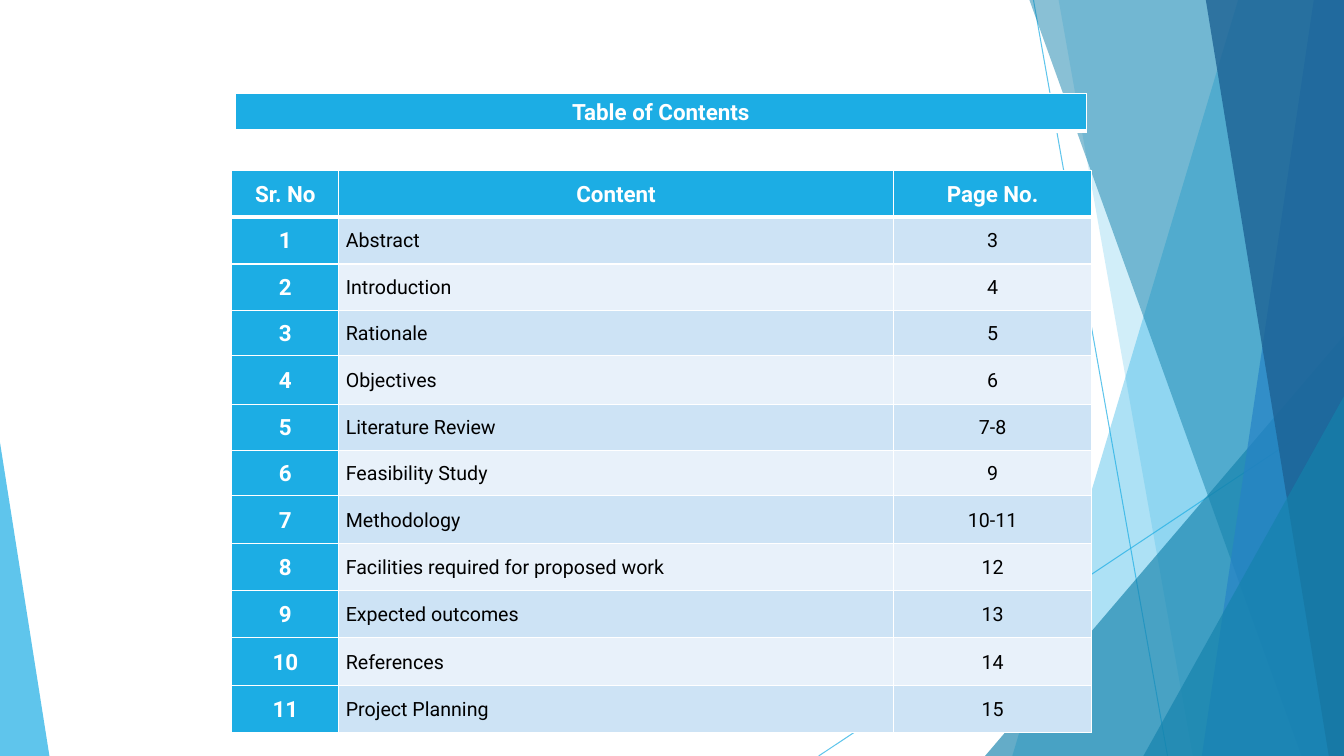
from lxml import etree
from pptx import Presentation
from pptx.dml.color import RGBColor
from pptx.enum import shapes, text
from pptx.oxml.ns import qn
from pptx.util import Inches, Pt

SKY = RGBColor(0x1C, 0xAD, 0xE4)
TEAL = RGBColor(0x14, 0x82, 0xAC)
BLUE = RGBColor(0x26, 0x83, 0xC6)
NAVY = RGBColor(0x1D, 0x62, 0x94)
BAND = RGBColor(0xCD, 0xE3, 0xF5)
PALE = RGBColor(0xE8, 0xF1, 0xFA)
WHITE = RGBColor(0xFF, 0xFF, 0xFF)
BLACK = RGBColor(0, 0, 0)
WIDE, HIGH = 13.33, 7.5


def tint(fill, color, alpha):
    """Fill with a colour at the given opacity in percent."""
    fill.solid()
    fill.fore_color.rgb = color
    tone = fill._xPr.find(qn("a:solidFill"))[0]
    etree.SubElement(tone, qn("a:alpha"), val=str(alpha * 1000))


def style(cell, words, head, color, center):
    """Write one cell; head cells have white bold text."""
    cell.text = words
    cell.vertical_anchor = text.MSO_ANCHOR.MIDDLE
    cell.margin_left = cell.margin_right = Inches(0.07)
    cell.margin_top = cell.margin_bottom = 0
    cell.fill.solid()
    cell.fill.fore_color.rgb = color
    para = cell.text_frame.paragraphs[0]
    para.alignment = text.PP_ALIGN.CENTER if center else text.PP_ALIGN.LEFT
    para.line_spacing = 1.07
    para.space_after = Pt(8)
    para.font.name = "Roboto"
    para.font.size = Pt(16 if head else 14)
    para.font.bold = head
    para.font.color.rgb = WHITE if head else BLACK


prs = Presentation()
prs.slide_width, prs.slide_height = Inches(WIDE), Inches(HIGH)
slide = prs.slides.add_slide(prs.slide_layouts[6])
tree = slide.shapes

# Background lines
for x1, y1, x2, y2 in [(10.25, 0, 11.58, HIGH), (WIDE, 4.03, 8.12, HIGH)]:
    line = tree.add_connector(shapes.MSO_CONNECTOR.STRAIGHT,
                              Inches(x1), Inches(y1), Inches(x2), Inches(y2))
    line.line.width = Pt(0.75)
    tint(line.line.fill, SKY, 70)
    etree.SubElement(line._element.spPr, qn("a:effectLst"))

# Facets: slanted panels give top x and bottom x, triangles give left, top,
# width and the side of the peak
facets = [
    ("panel", (12.28, 10.04), SKY, 36),
    ("panel", (10.5, 11.83), SKY, 20),
    ("peak", (9.77, 3.33, 3.56, 1), TEAL, 66),
    ("panel", (10.21, 12.91), TEAL, 50),
    ("panel", (13.03, 11.92), BLUE, 70),
    ("panel", (11.96, 13.18), NAVY, 80),
    ("peak", (11.34, 3.93, 1.99, 1), TEAL, 66),
    ("peak", (0, 4.39, 0.49, 0), SKY, 70),
]
for kind, spot, color, alpha in facets:
    if kind == "panel":
        top, base = spot
        pen = tree.build_freeform(Inches(top), 0)
        pen.add_line_segments([(Inches(x), Inches(y)) for x, y in
                               [(WIDE, 0), (WIDE, HIGH), (base, HIGH)]])
        facet = pen.convert_to_shape()
    else:
        left, top, width, side = spot
        facet = tree.add_shape(shapes.MSO_SHAPE.ISOSCELES_TRIANGLE, Inches(left),
                               Inches(top), Inches(width), Inches(HIGH - top))
        facet.adjustments[0] = side
    tint(facet.fill, color, alpha)
    facet.line.fill.background()
    facet.shadow.inherit = False

# Tables: the title bar and the contents
topics = [
    ("Abstract", "3"), ("Introduction", "4"), ("Rationale", "5"),
    ("Objectives", "6"), ("Literature Review", "7-8"),
    ("Feasibility Study", "9"), ("Methodology", "10-11"),
    ("Facilities required for proposed work", "12"),
    ("Expected outcomes", "13"), ("References", "14"),
    ("Project Planning", "15"),
]
rows = [("Sr. No", "Content", "Page No.")]
rows += [(str(n), *topic) for n, topic in enumerate(topics, 1)]
tall = [0.46, 0.47, 0.46, 0.45, 0.48, 0.46, 0.45] + [0.47] * 5
grids = [
    (2.33, 0.93, [8.45], [0.37], [("Table of Contents",)]),
    (2.3, 1.69, [1.06, 5.5, 1.97], tall, rows),
]
for left, top, widths, heights, lines in grids:
    grid = tree.add_table(len(lines), len(widths), Inches(left), Inches(top),
                          Inches(sum(widths)), Inches(sum(heights))).table
    for col, width in zip(grid.columns, widths):
        col.width = Inches(width)
    for r, (height, entry) in enumerate(zip(heights, lines)):
        grid.rows[r].height = Inches(height)
        for c, words in enumerate(entry):
            head = r == 0 or c == 0
            color = SKY if head else BAND if r % 2 else PALE
            cell = grid.cell(r, c)
            style(cell, words, head, color, head or c == 2)
            props = cell._tc.get_or_add_tcPr()
            for k, edge in enumerate("LRTB"):
                thick = 3 if r == 0 and edge == "B" else 1
                rule = etree.Element(qn("a:ln" + edge), w=str(Pt(thick)))
                paint = etree.SubElement(rule, qn("a:solidFill"))
                etree.SubElement(paint, qn("a:srgbClr"), val=str(WHITE))
                props.insert(k, rule)

prs.save("out.pptx")
